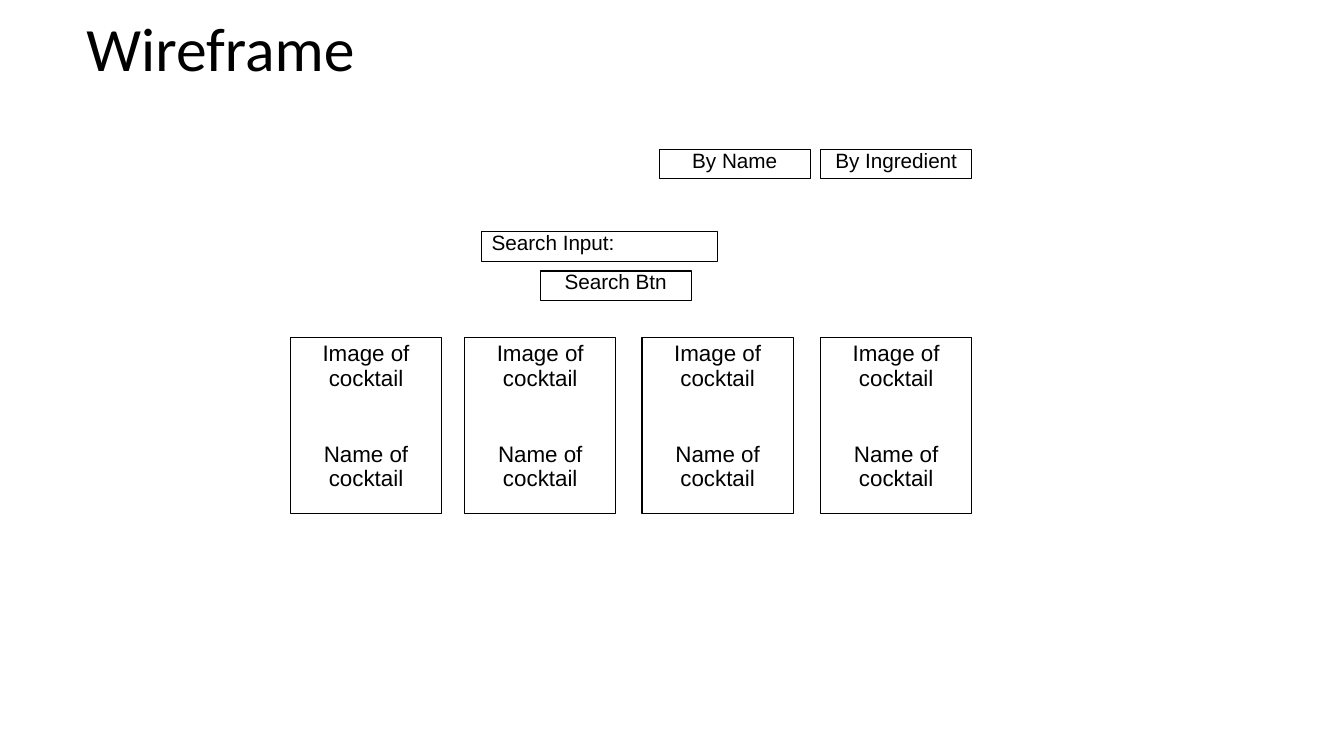
from pptx import Presentation
from pptx import util as u
from pptx.dml.color import RGBColor
from pptx.enum import shapes, text

BLACK = RGBColor(0, 0, 0)
WHITE = RGBColor(255, 255, 255)
LEFT, CENTER = text.PP_ALIGN.LEFT, text.PP_ALIGN.CENTER
TOP, MIDDLE = text.MSO_ANCHOR.TOP, text.MSO_ANCHOR.MIDDLE


def write(box, *lines, font="Arial", size=16, align=CENTER, anchor=TOP,
          spacing=0.9, before=10, gap=37):
    """Write one paragraph per line; gap separates the later ones."""
    frame = box.text_frame
    frame.word_wrap = True
    frame.vertical_anchor = anchor
    for index, line in enumerate(lines):
        para = frame.add_paragraph() if index else frame.paragraphs[0]
        para.alignment = align
        para.line_spacing = spacing
        para.space_before = u.Pt(gap if index else before)
        span = para.add_run()
        span.text = line
        span.font.name = font
        span.font.size = u.Pt(size)
        span.font.color.rgb = BLACK


class Wireframe:
    """Holds the page and the sizes shared by its elements, in cm."""
    button_width, field_height = 3.81, 0.74
    card_height = 4.42

    def __init__(self, page):
        self.page = page

    def title(self, label, left, top, width, height):
        box = self.page.shapes.add_textbox(*map(u.Cm, (left, top, width, height)))
        write(box, label, font="Calibri", size=44, align=LEFT, anchor=MIDDLE, before=0)

    def frame(self, left, top, width, height):
        box = self.page.shapes.add_shape(
            shapes.MSO_SHAPE.RECTANGLE, *map(u.Cm, (left, top, width, height)))
        box.shadow.inherit = False
        box.fill.background()
        box.line.color.rgb = BLACK
        box.line.width = u.Pt(0.75)
        return box

    def field(self, label, left, top, width=button_width, align=CENTER):
        box = self.frame(left, top, width, self.field_height)
        write(box, label, size=14.8, spacing=0.7, align=align)

    def card(self, left, top):
        box = self.frame(left, top, self.button_width, self.card_height)
        write(box, "Image of cocktail", "Name of cocktail")


def main():
    deck = Presentation()
    deck.slide_width, deck.slide_height = u.Cm(33.87), u.Cm(19.05)
    page = deck.slides.add_slide(deck.slide_layouts[6])
    page.background.fill.solid()
    page.background.fill.fore_color.rgb = WHITE
    wireframe = Wireframe(page)

    # Search area
    wireframe.field("Search Input:", 12.14, 5.84, width=5.94, align=LEFT)
    wireframe.field("Search Btn", 13.61, 6.83)

    # Result cards
    for left in (7.32, 11.71, 16.18, 20.68):
        wireframe.card(left, 8.51)

    # Title and search modes
    wireframe.title("Wireframe", 1.93, 0.05, 16.48, 2.51)
    for label, left in (("By Name", 16.61), ("By Ingredient", 20.68)):
        wireframe.field(label, left, 3.76)

    deck.save("out.pptx")


if __name__ == "__main__":
    main()
